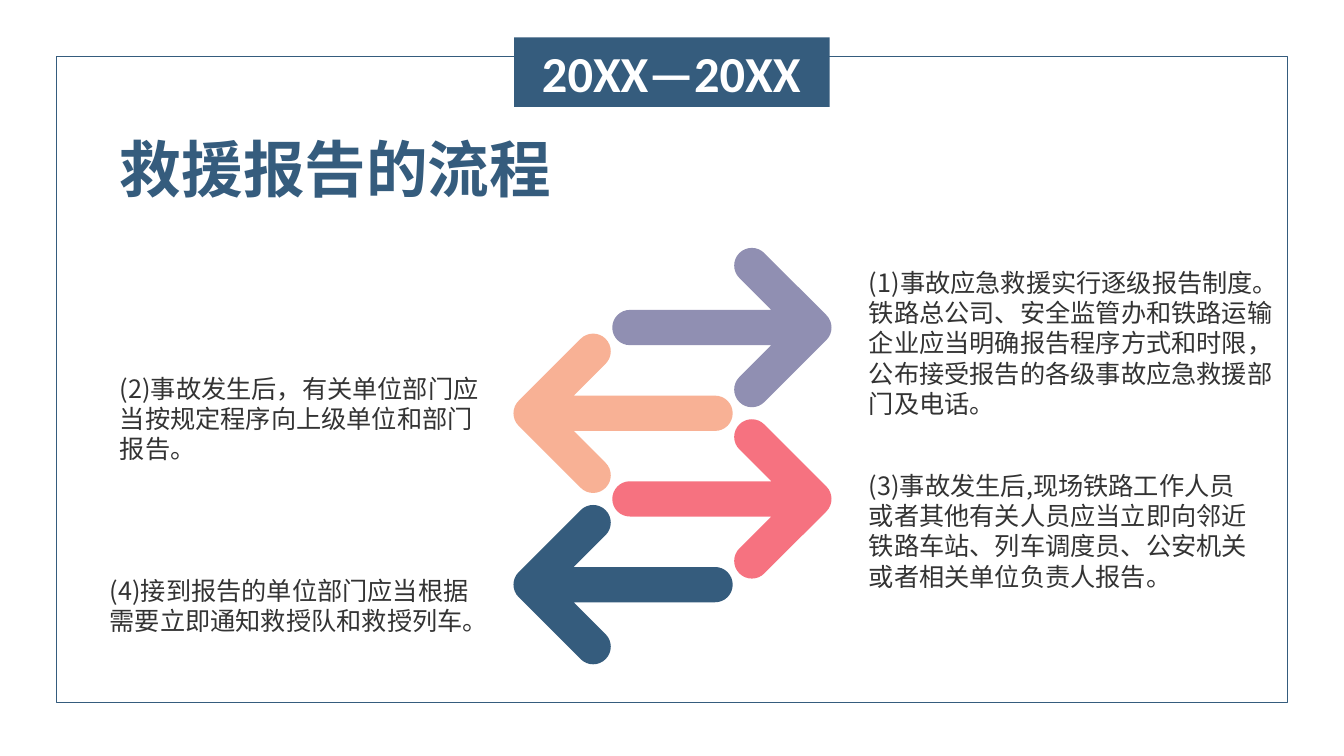
from math import cos, radians, sin, sqrt, tan

from lxml import etree
from pptx import Presentation
from pptx.dml.color import RGBColor
from pptx.enum.lang import MSO_LANGUAGE_ID as Language
from pptx.enum.shapes import MSO_SHAPE as Preset
from pptx.enum.text import MSO_ANCHOR as Anchor, PP_ALIGN as Align
from pptx.oxml.ns import qn
from pptx.util import Inches, Pt

NAVY = RGBColor(0x35, 0x5C, 0x7D)
LILAC = RGBColor(0x90, 0x8F, 0xB2)
PEACH = RGBColor(0xF8, 0xB1, 0x95)
CORAL = RGBColor(0xF6, 0x72, 0x80)
WHITE = RGBColor(0xFF, 0xFF, 0xFF)
CHARCOAL = RGBColor(0x33, 0x33, 0x33)

CHINESE_FONT = "Noto Sans CJK SC"
HEADING = {"name": "Calibri", "bold": True}
BADGE_FORMAT = {**HEADING, "size": Pt(36), "color": WHITE}
TITLE_FORMAT = {**HEADING, "size": Pt(44), "color": NAVY}
BODY_FORMAT = {"name": CHINESE_FONT, "size": Pt(18), "color": CHARCOAL}

ARROW_SPAN = 1.64
ARM_LENGTH = 0.87
STROKE_WIDTH = 0.35
RADIUS = STROKE_WIDTH / 2
FIRST_ARROW_Y = 3.25
ARROW_PITCH = 0.85
RIGHT_CENTER_X = 7.16
LEFT_CENTER_X = 6.18

ARROW_COLORS = [LILAC, PEACH, CORAL, NAVY]
STEPS = [
    ((8.52, 2.59, 4.32, 1.62),
     "(1)事故应急救援实行逐级报告制度。铁路总公司、安全监管办和铁路运输企业应当"
     "明确报告程序方式和时限，公布接受报告的各级事故应急救援部门及电话。"),
    ((1.09, 3.34, 3.82, 1.62),
     "(2)事故发生后，有关单位部门应当按规定程序向上级单位和部门报告。"),
    ((8.52, 4.61, 3.97, 1.31),
     "(3)事故发生后,现场铁路工作人员或者其他有关人员应当立即向邻近铁路车站、"
     "列车调度员、公安机关或者相关单位负责人报告。"),
    ((0.99, 5.35, 3.82, 1.31),
     "(4)接到报告的单位部门应当根据需要立即通知救授队和救授列车。"),
]


def add_rectangle(slide, box, fill=None, line=None):
    shape = slide.shapes.add_shape(Preset.RECTANGLE, *map(Inches, box))
    shape.shadow.inherit = False
    if fill is None:
        shape.fill.background()
    else:
        shape.fill.solid()
        shape.fill.fore_color.rgb = fill
    if line is None:
        shape.line.fill.background()
    else:
        shape.line.color.rgb = line
        shape.line.width = Pt(1)


def add_text(slide, box, text, text_format, align=Align.LEFT, wrap=True):
    frame = slide.shapes.add_textbox(*map(Inches, box)).text_frame
    frame.word_wrap = wrap
    frame.vertical_anchor = Anchor.MIDDLE
    paragraph = frame.paragraphs[0]
    paragraph.alignment = align
    run = paragraph.add_run()
    run.text = text
    run.font.language_id = Language.SIMPLIFIED_CHINESE
    for name, value in text_format.items():
        if name == "color":
            run.font.color.rgb = value
        else:
            setattr(run.font, name, value)
    properties = run._r.get_or_add_rPr()
    etree.SubElement(properties, qn("a:ea"), typeface=CHINESE_FONT)


def round_cap(center_x, center_y, *angles):
    """Return a line to the first angle, then a Bezier arc to each next one."""
    def polar(angle, tangent=0):
        cosine, sine = cos(radians(angle)), sin(radians(angle))
        return (center_x + RADIUS * (cosine - tangent * sine),
                center_y + RADIUS * (sine + tangent * cosine))

    segments = [[polar(angles[0])]]
    for start, end in zip(angles, angles[1:]):
        handle = 4 / 3 * tan(radians(end - start) / 4)
        segments.append([polar(start, handle), polar(end, -handle), polar(end)])
    return segments


def arrow_segments():
    """Return the outline of an arrow that points up and right in its square."""
    tip_x, tip_y = ARROW_SPAN - RADIUS, RADIUS
    inner = RADIUS * (1 + sqrt(2))
    return [
        *round_cap(tip_x, tip_y, 270, 360),
        *round_cap(tip_x, tip_y + ARM_LENGTH, 0, 90, 180),
        [(tip_x - RADIUS, tip_y + inner)],
        *round_cap(RADIUS, ARROW_SPAN - RADIUS, 45, 90, 180, 225),
        [(tip_x - inner, tip_y + RADIUS)],
        *round_cap(tip_x - ARM_LENGTH, tip_y, 90, 180, 270),
    ]


def add_arrow(slide, center_x, center_y, direction, color):
    """Draw an arrow; direction is 1 for right and -1 for left."""
    half = ARROW_SPAN / 2
    segments = [[(Inches(half + direction * (x - half)), Inches(y))
                 for x, y in segment] for segment in arrow_segments()]
    start, *following = segments
    builder = slide.shapes.build_freeform(*start[0])
    builder.add_line_segments([segment[-1] for segment in following])
    arrow = builder.convert_to_shape(Inches(center_x - half),
                                     Inches(center_y - half))
    outline = arrow._element.find(".//" + qn("a:path"))
    for line, segment in zip(outline.findall(qn("a:lnTo")), following):
        if len(segment) == 3:
            curve = etree.Element(qn("a:cubicBezTo"))
            for x, y in segment:
                etree.SubElement(curve, qn("a:pt"), x=str(x), y=str(y))
            outline.replace(line, curve)
    arrow.rotation = direction * 45 % 360
    arrow.shadow.inherit = False
    arrow.fill.solid()
    arrow.fill.fore_color.rgb = color
    arrow.line.fill.background()


def main():
    presentation = Presentation()
    presentation.slide_width = Inches(13.33)
    presentation.slide_height = Inches(7.5)
    slide = presentation.slides.add_slide(presentation.slide_layouts[6])

    add_rectangle(slide, (0.56, 0.56, 12.21, 6.41), line=NAVY)
    add_rectangle(slide, (5.1, 0.37, 3.13, 0.69), fill=NAVY)
    add_text(slide, (5.18, 0.36, 2.96, 0.71), "20XX—20XX", BADGE_FORMAT,
             align=Align.CENTER)
    add_text(slide, (1.09, 1.25, 4.52, 0.84), "救援报告的流程", TITLE_FORMAT,
             wrap=False)

    for index, color in reversed(list(enumerate(ARROW_COLORS))):
        center_x, direction = ((RIGHT_CENTER_X, 1),
                               (LEFT_CENTER_X, -1))[index % 2]
        add_arrow(slide, center_x, FIRST_ARROW_Y + index * ARROW_PITCH,
                  direction, color)
    for box, text in STEPS:
        add_text(slide, box, text, BODY_FORMAT)

    presentation.save("out.pptx")


if __name__ == "__main__":
    main()
